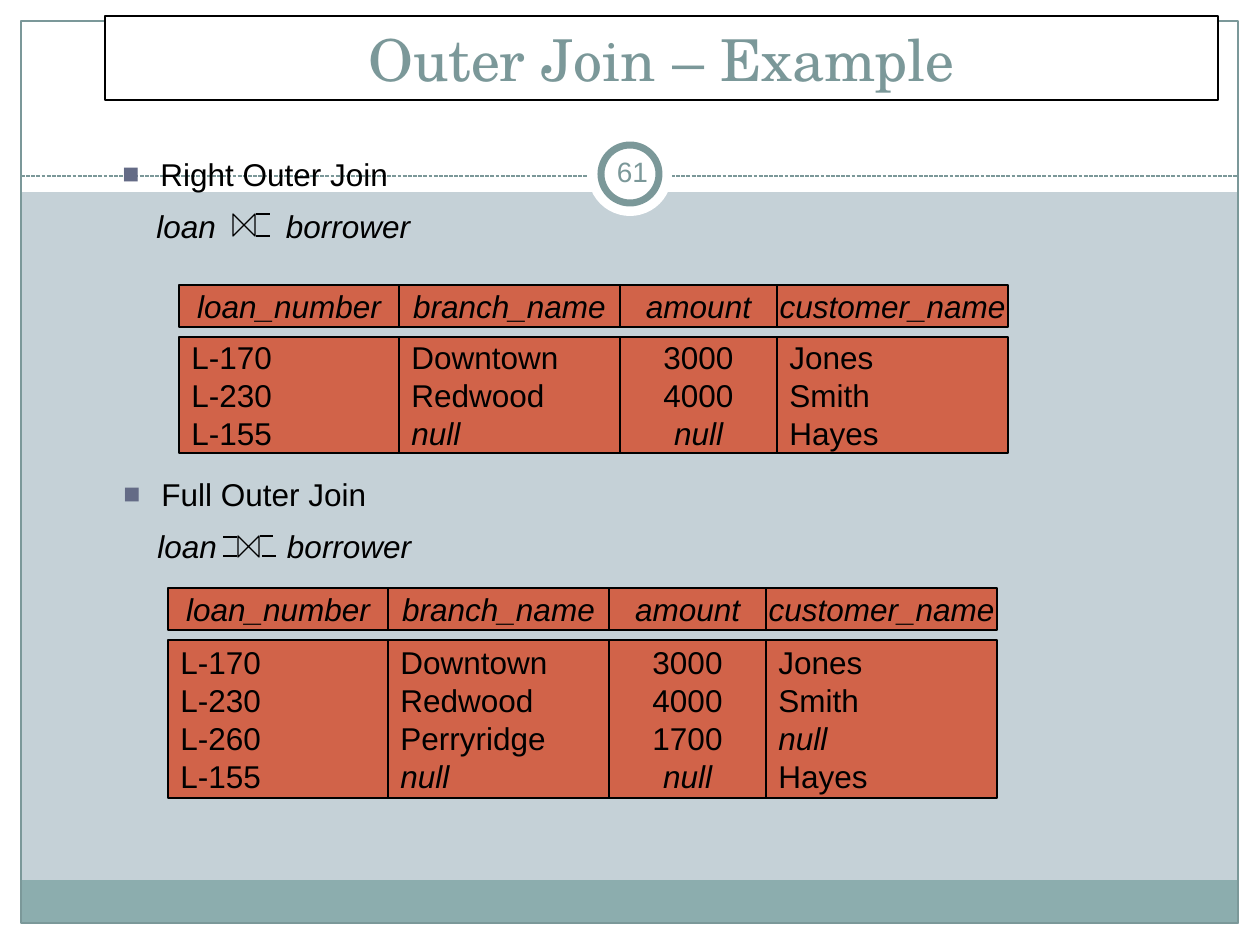
"""Build the outer join example slide with its two result tables."""
from itertools import pairwise

from lxml.etree import SubElement
from pptx import Presentation
from pptx.dml.color import RGBColor
from pptx.enum.dml import MSO_LINE
from pptx.enum.shapes import MSO_CONNECTOR, MSO_SHAPE
from pptx.enum.text import MSO_ANCHOR, MSO_AUTO_SIZE, PP_ALIGN
from pptx.oxml.ns import qn
from pptx.util import Pt

PX = 914400 / 126
TEAL, BLACK, WHITE, RUST = "7B9899", "000000", "FFFFFF", "D16349"
color = RGBColor.from_string


def draw(kind, place, fill=None, line=None, weight=0.75):
    shape = page.shapes.add_shape(kind, *[round(n * PX) for n in place])
    shape.shadow.inherit = False
    if fill:
        shape.fill.solid()
        shape.fill.fore_color.rgb = color(fill)
    else:
        shape.fill.background()
    if line:
        shape.line.color.rgb = color(line)
        shape.line.width = Pt(weight)
    else:
        shape.line.fill.background()
    return shape


def write(para, text, size=18, ink=BLACK, italic=False, face="Arial"):
    span = para.add_run()
    span.text = text
    span.font.name = face
    span.font.size = Pt(size)
    span.font.italic = italic
    span.font.color.rgb = color(ink)
    return span


deck = Presentation()
deck.slide_width, deck.slide_height = round(1260 * PX), round(945 * PX)
page = deck.slides.add_slide(deck.slide_layouts[5])
page.background.fill.solid()
page.background.fill.fore_color.rgb = color("C5D1D7")

panels = [
    ((0, 924, 1260, 21), WHITE, None),
    ((0, 0, 1260, 192), WHITE, None),
    ((0, 0, 21, 945), WHITE, None),
    ((1239, 0, 21, 945), WHITE, None),
    ((21, 880, 1217, 43), "8CADAE", None),
    ((21, 21, 1217, 902), None, TEAL),
]
for place, fill, line in panels:
    draw(MSO_SHAPE.RECTANGLE, place, fill, line)

strokes = [
    (21, 176, 1239, 176, TEAL, MSO_LINE.SQUARE_DOT),
    (270, 214, 256, 214, BLACK, None),
    (270, 236, 256, 236, BLACK, None),
    (237, 537, 223, 537, BLACK, None),
    (237, 556, 223, 556, BLACK, None),
    (276, 556, 262, 556, BLACK, None),
    (273, 536, 260, 536, BLACK, None),
]
for *ends, ink, dash in strokes:
    stroke = page.shapes.add_connector(
        MSO_CONNECTOR.STRAIGHT, *[round(n * PX) for n in ends])
    stroke.line.color.rgb = color(ink)
    stroke.line.width = Pt(0.75)
    if dash:
        stroke.line.dash_style = dash
    SubElement(stroke._element.spPr, qn("a:effectLst"))

draw(MSO_SHAPE.OVAL, (588, 132, 84, 84), WHITE)
draw(MSO_SHAPE.OVAL, (601, 145, 58, 58), WHITE, TEAL, 4)

title = page.shapes.title
title.left, title.top, title.width, title.height = [
    round(n * PX) for n in (105, 16, 1113, 84)]
title.fill.solid()
title.fill.fore_color.rgb = color(WHITE)
title.line.color.rgb = color(BLACK)
title.line.width = Pt(0.75)
title.text_frame.vertical_anchor = MSO_ANCHOR.MIDDLE
heading = title.text_frame.paragraphs[0]
heading.alignment = PP_ALIGN.CENTER
write(heading, "Outer Join – Example", 33, TEAL, face="TeX Gyre Schola")
page.shapes._spTree.append(title._element)

column_edges = (0, 220, 441, 598, 829)
column_names = ("loan_number", "branch_name", "amount", "customer_name")
tables = [
    (179, 285, 116, [
        ("L-170", "Downtown", "3000", "Jones"),
        ("L-230", "Redwood", "4000", "Smith"),
        ("L-155", "null", "null", "Hayes"),
    ]),
    (168, 588, 158, [
        ("L-170", "Downtown", "3000", "Jones"),
        ("L-230", "Redwood", "4000", "Smith"),
        ("L-260", "Perryridge", "1700", "null"),
        ("L-155", "null", "null", "Hayes"),
    ]),
]
for left, top, body_height, rows in tables:
    columns = zip(pairwise(column_edges), column_names, zip(*rows))
    for (start, end), name, values in columns:
        parts = [(top, 42, [name]), (top + 52, body_height, values)]
        for part_top, height, lines in parts:
            cell = draw(MSO_SHAPE.RECTANGLE,
                        (left + start, part_top, end - start, height), RUST, BLACK)
            frame = cell.text_frame
            frame.word_wrap = False
            frame.vertical_anchor = MSO_ANCHOR.MIDDLE
            for index, text in enumerate(lines):
                para = frame.add_paragraph() if index else frame.paragraphs[0]
                centred = text == name or name == "amount"
                para.alignment = PP_ALIGN.CENTER if centred else PP_ALIGN.LEFT
                write(para, text, italic=text in (name, "null"))

joins = [
    ("Right Outer Join", (110, 149, 561, 102), (233, 214, 22, 22)),
    ("Full Outer Join", (111, 469, 561, 102), (238, 536, 21, 21)),
]
for label, place, bowtie_place in joins:
    box = page.shapes.add_textbox(*[round(n * PX) for n in place])
    frame = box.text_frame
    frame.word_wrap = True
    frame.auto_size = MSO_AUTO_SIZE.SHAPE_TO_FIT_TEXT
    para = frame.paragraphs[0]
    properties = para._p.get_or_add_pPr()
    properties.set("marL", str(round(38 * PX)))
    properties.set("indent", str(round(-38 * PX)))
    bullet_color = SubElement(properties, qn("a:buClr"))
    SubElement(bullet_color, qn("a:srgbClr"), val="646B86")
    SubElement(properties, qn("a:buSzPct"), val="90000")
    SubElement(properties, qn("a:buFont"), typeface="Arial")
    SubElement(properties, qn("a:buChar"), char="■")
    write(para, label)

    para = frame.add_paragraph()
    para.space_before = Pt(7.9)
    properties = para._p.get_or_add_pPr()
    properties.set("marL", str(round(34 * PX)))
    properties.set("indent", "0")
    write(para, "loan", italic=True)
    gap = write(para, " ", italic=True)
    gap._r.get_or_add_rPr().set("spc", "3500")
    write(para, "borrower", italic=True)

    bowtie = draw(MSO_SHAPE.FLOWCHART_COLLATE, bowtie_place, line=BLACK)
    bowtie.rotation = 270

number = page.shapes.add_textbox(*[round(n * PX) for n in (601, 141, 63, 60)])
frame = number.text_frame
frame.word_wrap = True
frame.vertical_anchor = MSO_ANCHOR.MIDDLE
frame.margin_left = frame.margin_right = round(6 * PX)
frame.paragraphs[0].alignment = PP_ALIGN.CENTER
write(frame.paragraphs[0], "61", 16, TEAL)

deck.save("out.pptx")
